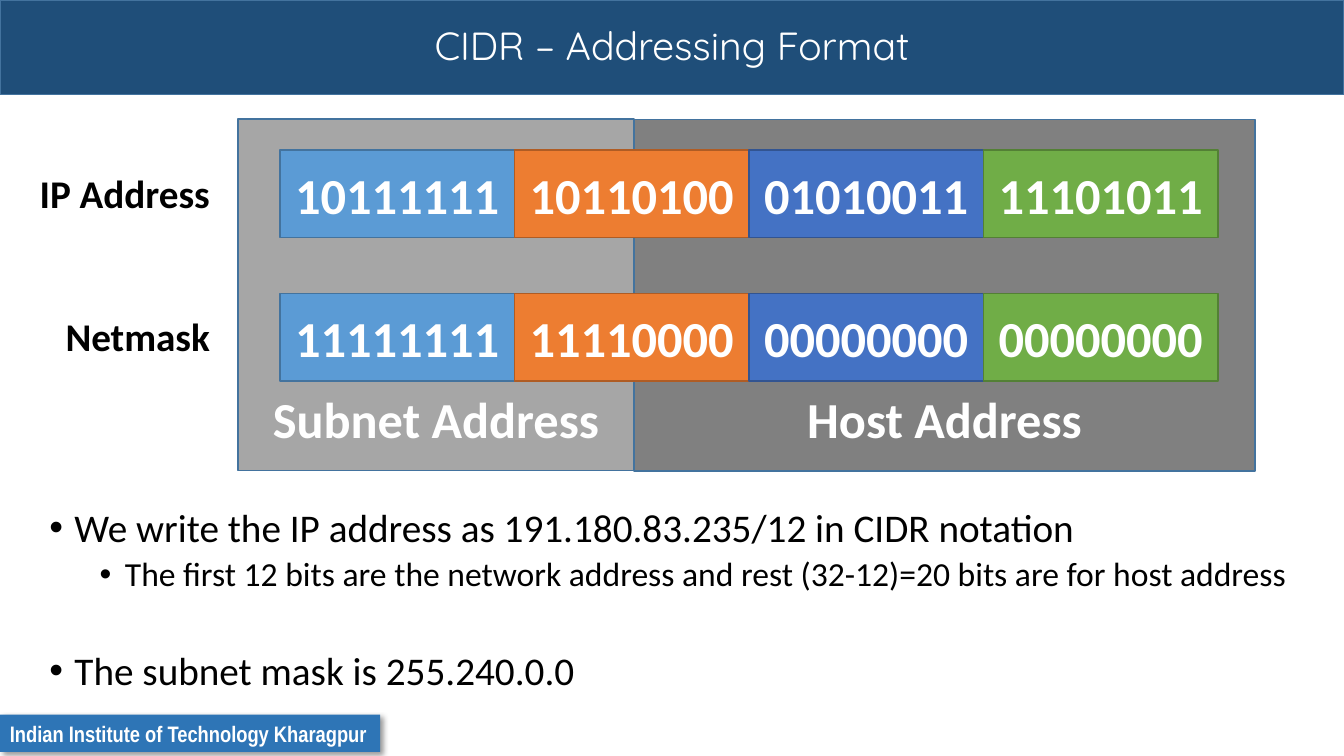
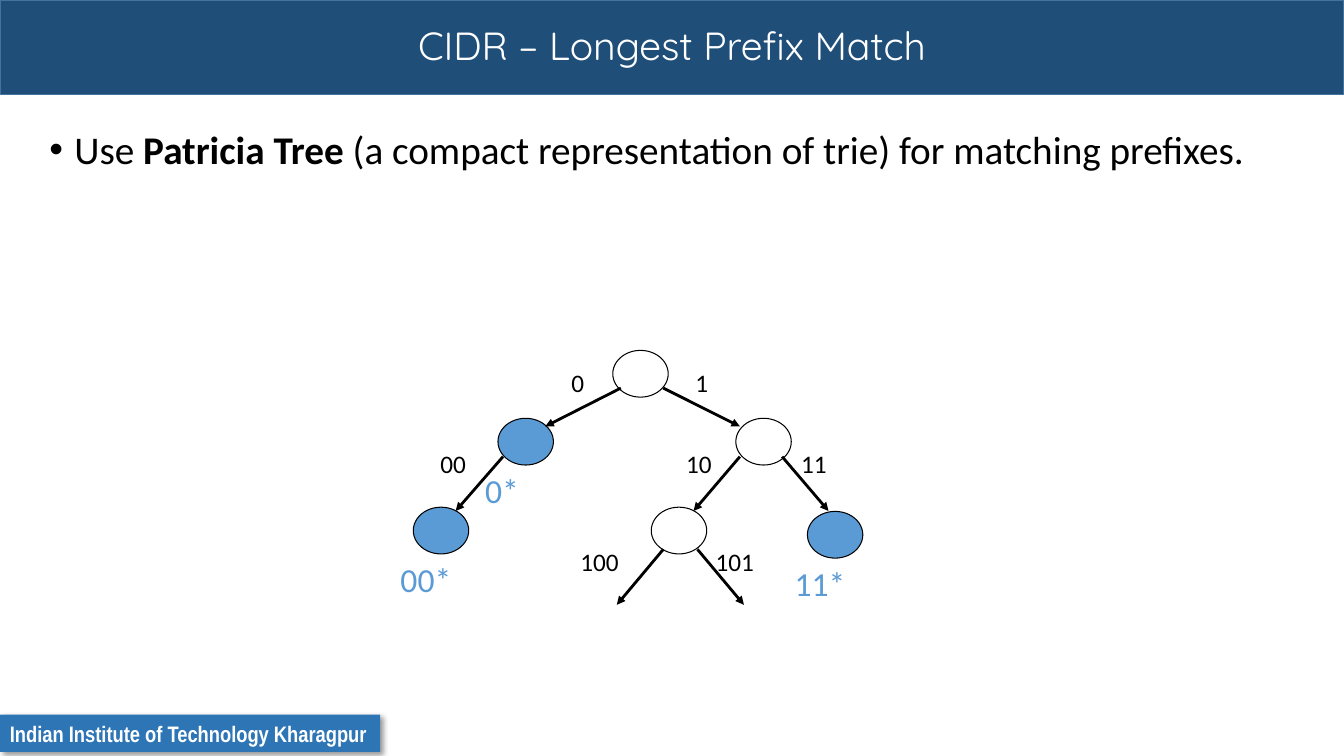
from lxml import etree
from pptx import Presentation
from pptx.dml.color import RGBColor
from pptx.enum import shapes, text
from pptx.oxml import parse_xml
from pptx.oxml.ns import nsdecls, qn
from pptx.util import Pt

WHITE, BLACK = "FFFFFF", "000000"
NAVY, FOOTER_BLUE, EDGE_BLUE = "1F4E79", "2E75B6", "43739E"
LIGHT_GREY, DARK_GREY, BLUE = "A6A6A6", "808080", "5B9BD5"
OCTET_COLOURS = [(BLUE, EDGE_BLUE), ("ED7D31", "AF5C24"),
                 ("4472C4", "325491"), ("70AD47", "538035")]
BODY_FONT, TITLE_FONT, FOOTER_FONT = "Calibri", "Quicksand", "Arial Narrow"
SLIDE_W, SLIDE_H = 960, 540
BAND = (0, 0.5, SLIDE_W, 67)
FOOTER = (0, 510.5, 271.5, 26.5)
NODE_W, NODE_H = 39.6, 33.4

LEFT, CENTER, RIGHT = text.PP_ALIGN.LEFT, text.PP_ALIGN.CENTER, text.PP_ALIGN.RIGHT
RECT, OVAL = shapes.MSO_SHAPE.RECTANGLE, shapes.MSO_SHAPE.OVAL


def rgb(hex_colour):
    return RGBColor.from_string(hex_colour)


def place(sp, x, y, w, h):
    sp.left, sp.top, sp.width, sp.height = Pt(x), Pt(y), Pt(w), Pt(h)


def style_runs(p, size, colour, font=BODY_FONT, bold=False):
    for r in p.runs:
        r.font.name, r.font.size, r.font.bold = font, Pt(size), bold
        r.font.color.rgb = rgb(colour)


def add_shape(s, kind, box, fill=None, line=None, line_width=1):
    sp = s.shapes.add_shape(kind, *map(Pt, box))
    sp.shadow.inherit = False
    if fill:
        sp.fill.solid()
        sp.fill.fore_color.rgb = rgb(fill)
    else:
        sp.fill.background()
    if line:
        sp.line.color.rgb = rgb(line)
        sp.line.width = Pt(line_width)
    else:
        sp.line.fill.background()
    return sp


def add_text_rect(s, box, words, fill, line):
    sp = add_shape(s, RECT, box, fill, line)
    sp.text_frame.text = words
    p = sp.text_frame.paragraphs[0]
    p.alignment = CENTER
    style_runs(p, 36, WHITE, bold=True)
    return sp


def add_label(s, box, words, size, colour=BLACK, bold=False, align=LEFT):
    tf = s.shapes.add_textbox(*map(Pt, box)).text_frame
    tf.word_wrap = True
    tf.text = words
    p = tf.paragraphs[0]
    p.alignment = align
    style_runs(p, size, colour, bold=bold)


def add_arrow(s, start, end):
    line = s.shapes.add_connector(shapes.MSO_CONNECTOR.STRAIGHT,
                                  *map(Pt, (*start, *end)))
    line.line.color.rgb = rgb(BLACK)
    line.line.width = Pt(2)
    etree.SubElement(line.line._get_or_add_ln(), qn("a:tailEnd"), type="triangle")
    etree.SubElement(line._element.spPr, qn("a:effectLst"))


def set_up_layout(layout, s):
    """Draw the band and footer on s, then move them to its layout."""
    band = add_shape(s, RECT, BAND, NAVY, EDGE_BLUE)
    footer = add_shape(s, RECT, FOOTER, FOOTER_BLUE)
    footer._element.spPr.find(qn("a:effectLst")).append(parse_xml(
        f'<a:outerShdw {nsdecls("a")} blurRad="{Pt(4)}" dist="{Pt(3)}" dir="2700000">'
        f'<a:srgbClr val="{BLACK}"><a:alpha val="40000"/></a:srgbClr></a:outerShdw>'))
    tf = footer.text_frame
    tf.word_wrap = False
    tf.text = "Indian Institute of Technology Kharagpur"
    tf.paragraphs[0].alignment = LEFT
    style_runs(tf.paragraphs[0], 16, WHITE, FOOTER_FONT, True)
    for position, sp in enumerate((band, footer), start=2):
        layout.shapes.element.insert(position, sp._element)
    place(layout.placeholders[0], *BAND)


def set_title(s, words):
    tf = s.shapes.title.text_frame
    tf.text = words
    tf.vertical_anchor = text.MSO_ANCHOR.MIDDLE
    p = tf.paragraphs[0]
    p.alignment, p.line_spacing = CENTER, 0.9
    style_runs(p, 28, WHITE, TITLE_FONT)


def set_body(s, top, height, items):
    """Fill the body with (level, space before, words); ** encloses bold words."""
    body = s.placeholders[1]
    place(body, 28, top, 909.5, height)
    tf = body.text_frame
    tf.auto_size = text.MSO_AUTO_SIZE.NONE
    for i, (level, space, words) in enumerate(items):
        p = tf.add_paragraph() if i else tf.paragraphs[0]
        p.level, p.line_spacing, p.space_before = level, 0.9, Pt(space)
        for part in words.split("**"):
            p.add_run().text = part
        style_runs(p, 24 if level else 28, BLACK)
        for r in p.runs[1::2]:
            r.font.bold = True
        pPr = p._p.get_or_add_pPr()
        pPr.set("marL", str(Pt(18 + 36 * level)))
        pPr.set("indent", str(Pt(-18)))
        etree.SubElement(pPr, qn("a:buFont"), typeface="Arial")
        etree.SubElement(pPr, qn("a:buChar"), char="•")


def addressing_slide(s):
    set_title(s, "CIDR – Addressing Format")
    set_body(s, 359.5, 153, [
        (0, 10, "We write the IP address as 191.180.83.235/12 in CIDR notation"),
        (1, 5, "The first 12 bits are the network address and rest (32-12)=20 bits "
               "are for host address"),
        (0, 41, "The subnet mask is 255.240.0.0"),
    ])
    for words, box, fill in [
        ("Host Address", (453, 85.5, 443.5, 251), DARK_GREY),
        ("Subnet Address", (170, 85, 283, 251), LIGHT_GREY),
    ]:
        tf = add_text_rect(s, box, words, fill, EDGE_BLUE).text_frame
        tf.vertical_anchor = text.MSO_ANCHOR.BOTTOM
        tf.margin_bottom = Pt(15.8)

    octet_w, octet_h = 167.5, 62.6
    for name, y, octets in [
        ("IP Address", 107.3, ["10111111", "10110100", "01010011", "11101011"]),
        ("Netmask", 209.5, ["11111111", "11110000", "00000000", "00000000"]),
    ]:
        for i, (octet, (fill, line)) in enumerate(zip(octets, OCTET_COLOURS)):
            add_text_rect(s, (200 + i * octet_w, y, octet_w, octet_h), octet, fill, line)
        add_label(s, (13, y + 10, 144, 41), name, 28, bold=True, align=RIGHT)


def prefix_slide(s):
    set_title(s, "CIDR – Longest Prefix Match")
    set_body(s, 89.5, 421, [
        (0, 10, "Use **Patricia Tree **(a compact representation of trie) "
                "for matching prefixes."),
    ])
    inner_nodes = [(457.5, 267), (545.4, 315.5), (485, 379)]
    prefix_nodes = [("0*", (375.5, 315.5)), ("00*", (315, 379)), ("11*", (596.5, 382))]
    for x, y, fill in ([(*node, None) for node in inner_nodes]
                       + [(*node, BLUE) for _, node in prefix_nodes]):
        add_shape(s, OVAL, (x - NODE_W / 2, y - NODE_H / 2, NODE_W, NODE_H),
                  fill, BLACK, 0.75)
    for words, (x, y) in prefix_nodes:
        add_label(s, (x - 36, y + 16.5, 72, 36), words, 24, BLUE)

    for bits, start, end, label in [
        ("0", (443.5, 277.2), (389.5, 304.6), (401, 259)),
        ("1", (473.8, 277.2), (528.5, 304.6), (489.6, 259)),
        ("00", (359.3, 326.2), (325.5, 365), (307.5, 317)),
        ("10", (528.5, 326.2), (495.4, 365), (483, 317)),
        ("11", (558.7, 326.2), (591.8, 365), (565.2, 317)),
        ("100", (473.8, 392.4), (440.6, 432), (407.5, 386.5)),
        ("101", (498.2, 392.4), (531.4, 432), (504, 386.5)),
    ]:
        add_arrow(s, start, end)
        add_label(s, (*label, 57, 29), bits, 18)


def main():
    prs = Presentation()
    prs.slide_width, prs.slide_height = Pt(SLIDE_W), Pt(SLIDE_H)
    layout = prs.slide_layouts[1]
    addressing, prefix = (prs.slides.add_slide(layout) for _ in range(2))
    set_up_layout(layout, addressing)
    addressing_slide(addressing)
    prefix_slide(prefix)
    prs.save("out.pptx")


if __name__ == "__main__":
    main()
